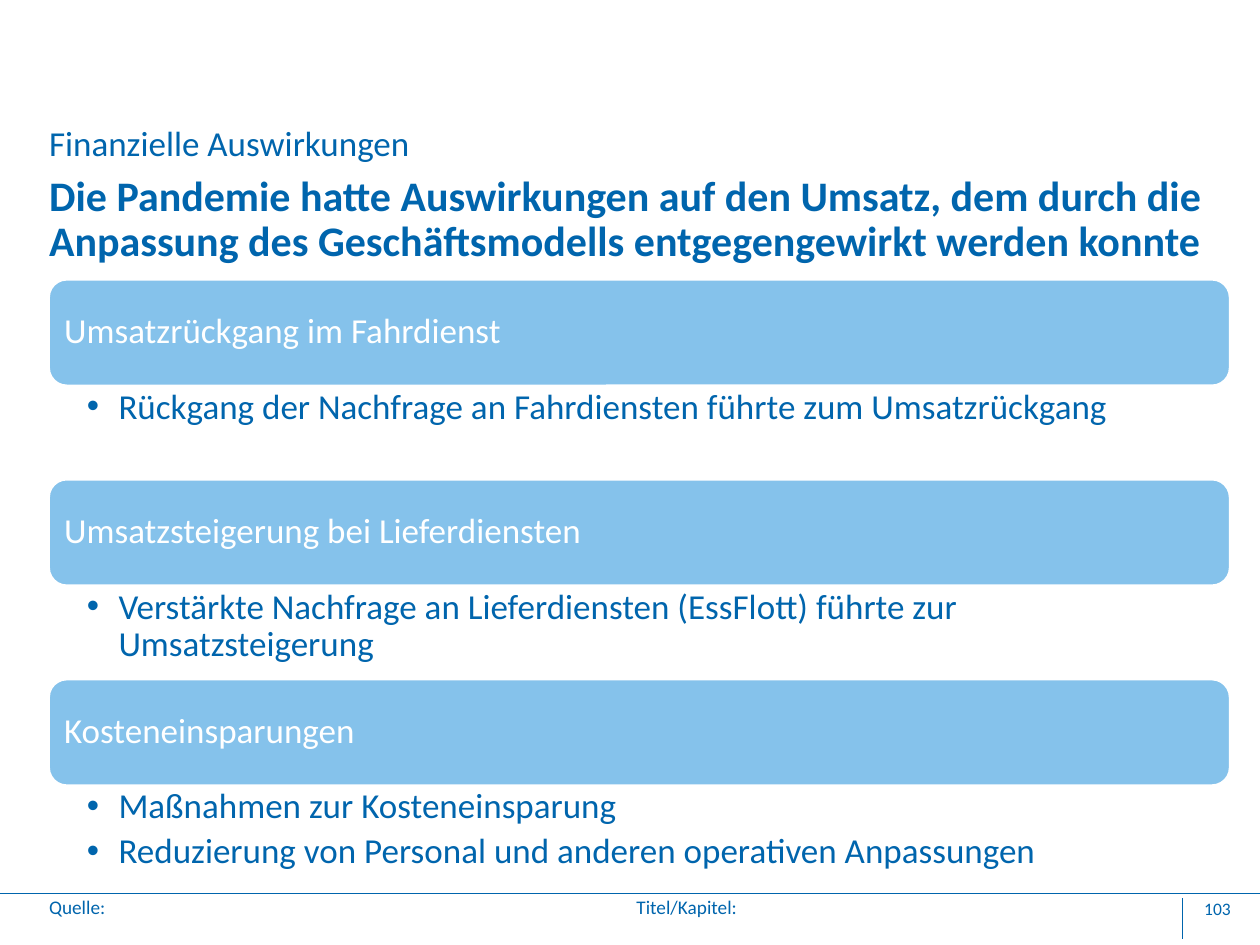
import pptx
import pptx.dml.color
import pptx.enum.shapes
import pptx.enum.text
import pptx.util
from lxml import etree
from pptx.oxml.ns import qn
from pptx.util import Cm, Pt

COLORS = {"text": "0065AD", "bar": "85C2EB", "white": "FFFFFF"}
FONT = "Calibri"
LEFT, WIDTH = 0.99, 23.8
FOOTER_TOP = 18.11
BAR_TOP, BAR_HEIGHT, BODY_HEIGHT, PITCH = 5.64, 2.13, 1.88, 4.03
TITLE = (
    "Die Pandemie hatte Auswirkungen auf den Umsatz, dem durch die "
    "Anpassung des Geschäftsmodells entgegengewirkt werden konnte"
)
SECTIONS = [
    ("Umsatzrückgang im Fahrdienst",
     ["Rückgang der Nachfrage an Fahrdiensten führte zum Umsatzrückgang"]),
    ("Umsatzsteigerung bei Lieferdiensten",
     ["Verstärkte Nachfrage an Lieferdiensten (EssFlott) führte zur Umsatzsteigerung"]),
    ("Kosteneinsparungen",
     ["Maßnahmen zur Kosteneinsparung",
      "Reduzierung von Personal und anderen operativen Anpassungen"]),
]


def rgb(name):
    return pptx.dml.color.RGBColor.from_string(COLORS[name])


def place(shape, left, top, width, height):
    shape.left, shape.top = Cm(left), Cm(top)
    shape.width, shape.height = Cm(width), Cm(height)


def set_frame(frame, insets=(0, 0, 0, 0), anchor="TOP"):
    """Insets are left, top, right, bottom in cm."""
    frame.word_wrap = True
    frame.auto_size = pptx.enum.text.MSO_AUTO_SIZE.NONE
    frame.vertical_anchor = getattr(pptx.enum.text.MSO_ANCHOR, anchor)
    frame.margin_left, frame.margin_top, frame.margin_right, frame.margin_bottom = map(Cm, insets)


def format_paragraph(paragraph, size, color="text", bold=False, align="LEFT", spacing=0.9):
    paragraph.alignment = getattr(pptx.enum.text.PP_ALIGN, align)
    paragraph.line_spacing = spacing
    paragraph.space_before = Pt(0)
    font = paragraph.font
    font.name, font.size, font.bold = FONT, Pt(size), bold
    font.color.rgb = rgb(color)


def add_bullet(paragraph):
    properties = paragraph._p.get_or_add_pPr()
    properties.set("marL", str(Cm(0.64)))
    properties.set("indent", str(-Cm(0.64)))
    etree.SubElement(properties, qn("a:buFont")).set("typeface", "Arial")
    etree.SubElement(properties, qn("a:buChar")).set("char", "•")


def add_label(slide, text, left, top, width, height, size, **style):
    box = slide.shapes.add_textbox(Cm(left), Cm(top), Cm(width), Cm(height))
    set_frame(box.text_frame)
    box.text_frame.text = text
    format_paragraph(box.text_frame.paragraphs[0], size, **style)


def add_rule(slide, x1, y1, x2, y2):
    connector = slide.shapes.add_connector(
        pptx.enum.shapes.MSO_CONNECTOR.STRAIGHT, Cm(x1), Cm(y1), Cm(x2), Cm(y2))
    connector.line.color.rgb = rgb("text")
    connector.line.width = Pt(0.25)
    etree.SubElement(connector._element.spPr, qn("a:effectLst"))


def add_bar(slide, text, top):
    bar = slide.shapes.add_shape(
        pptx.enum.shapes.MSO_SHAPE.ROUNDED_RECTANGLE,
        Cm(LEFT), Cm(top), Cm(WIDTH), Cm(BAR_HEIGHT))
    bar.shadow.inherit = False
    bar.fill.solid()
    bar.fill.fore_color.rgb = rgb("bar")
    bar.line.color.rgb = rgb("white")
    bar.line.width = Pt(1)
    set_frame(bar.text_frame, (0.2, 0.2, 0.2, 0.2), "MIDDLE")
    bar.text_frame.text = text
    format_paragraph(bar.text_frame.paragraphs[0], 20, "white")


def add_bullets(slide, items, top):
    box = slide.shapes.add_textbox(Cm(LEFT), Cm(top), Cm(WIDTH), Cm(BODY_HEIGHT))
    set_frame(box.text_frame, (0.76, 0.07, 0.4, 0.07))
    box.text_frame.text = "\n".join(items)
    for paragraph in box.text_frame.paragraphs:
        add_bullet(paragraph)
        format_paragraph(paragraph, 20)
        paragraph.space_after = Pt(4)


def set_title(slide):
    title = slide.shapes.title
    place(title, LEFT, 3.53, WIDTH, 1.8)
    set_frame(title.text_frame)
    title.text_frame.text = TITLE
    format_paragraph(title.text_frame.paragraphs[0], 24, bold=True)


def add_footer(slide):
    add_rule(slide, 0, 18.01, 25.4, 18.01)
    add_rule(slide, 23.83, FOOTER_TOP, 23.83, 18.92)
    add_label(slide, "Quelle:", LEFT, FOOTER_TOP, 1.3, 0.5, 11)
    add_label(slide, "Titel/Kapitel:", 12.83, FOOTER_TOP, 2.3, 0.5, 11)
    add_label(slide, "103", 23.95, FOOTER_TOP, 0.86, 0.5, 10, align="RIGHT", spacing=1.0)


def main():
    presentation = pptx.Presentation()
    presentation.slide_width, presentation.slide_height = Cm(25.4), Cm(19.05)
    slide = presentation.slides.add_slide(presentation.slide_layouts[5])
    set_title(slide)
    add_label(slide, "Finanzielle Auswirkungen", LEFT, 2.54, WIDTH, 0.79, 20)
    for index, (heading, items) in enumerate(SECTIONS):
        top = BAR_TOP + index * PITCH
        add_bar(slide, heading, top)
        add_bullets(slide, items, top + BAR_HEIGHT)
    add_footer(slide)
    presentation.save("out.pptx")


if __name__ == "__main__":
    main()
